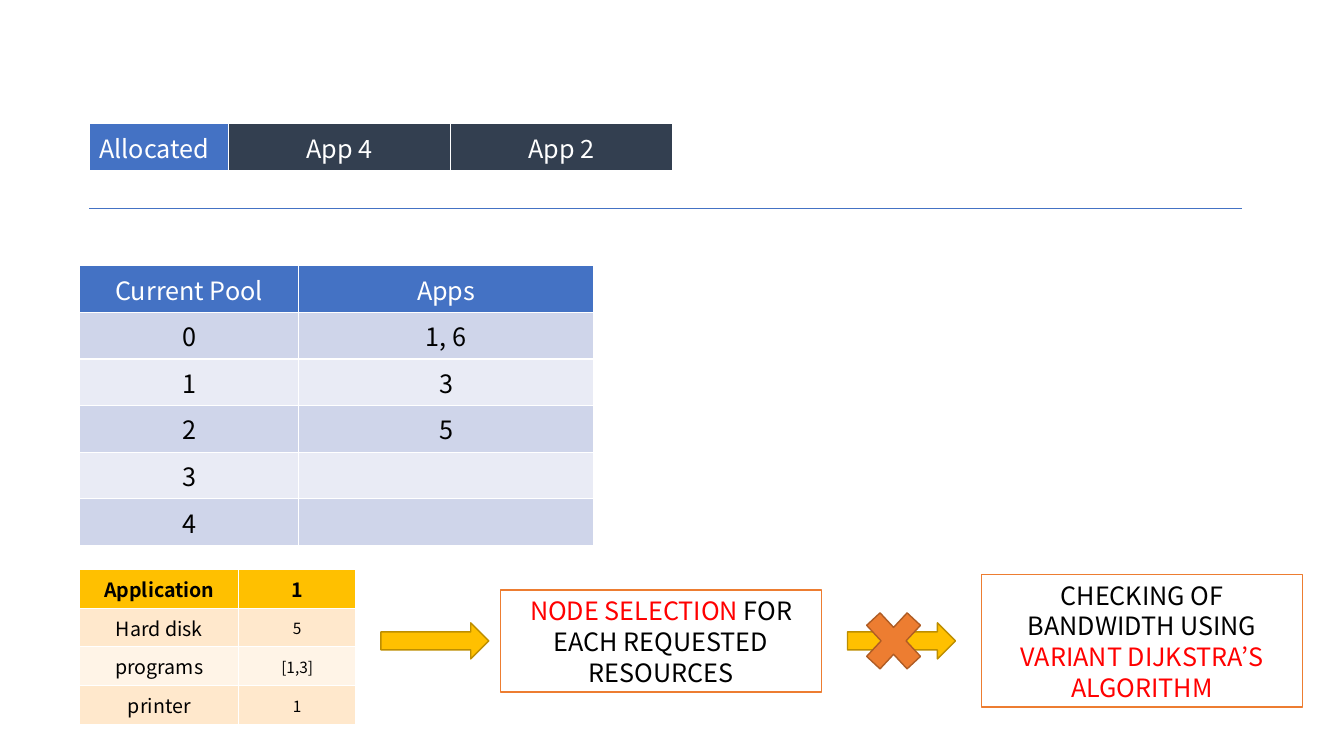
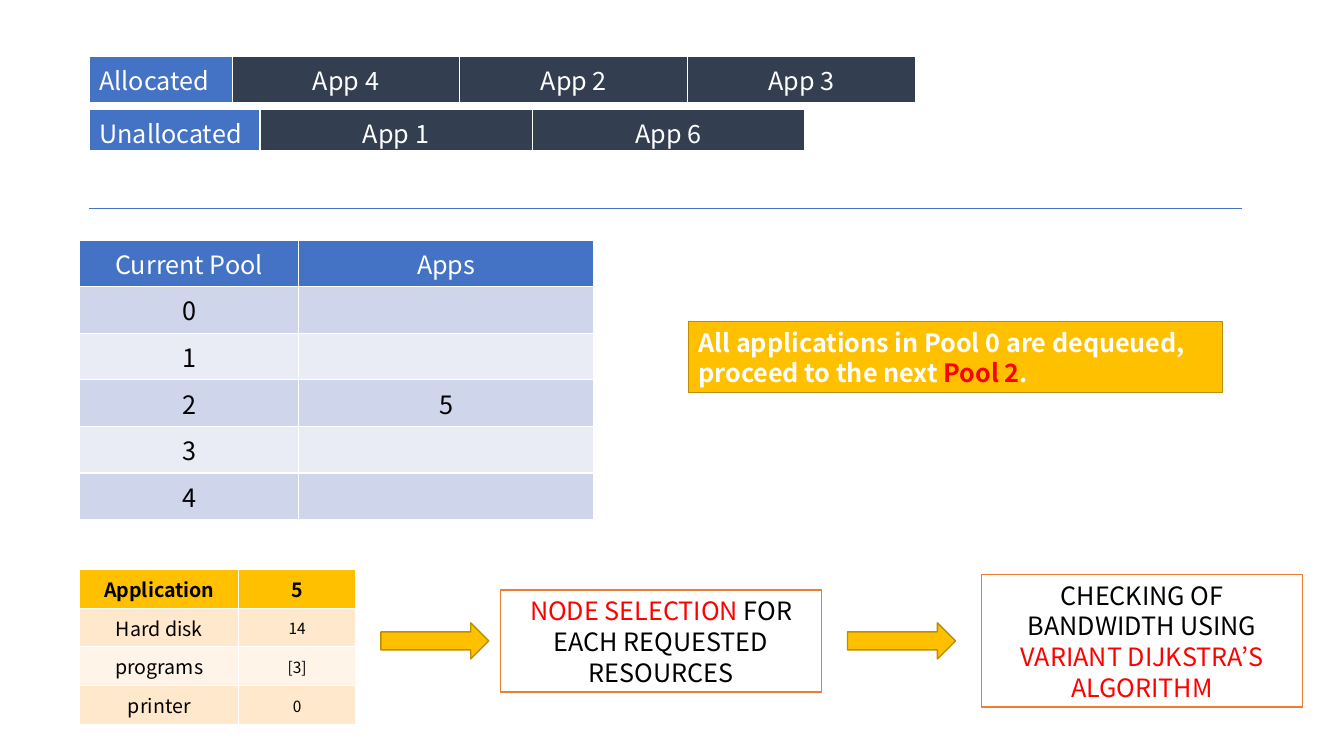
from pptx import Presentation
from pptx.dml.color import RGBColor
from pptx.enum.shapes import MSO_CONNECTOR, MSO_SHAPE
from pptx.enum.text import MSO_ANCHOR, PP_ALIGN
from pptx.oxml.ns import qn
from pptx.util import Cm, Pt
from lxml import etree

FONT = "Noto Sans CJK JP"
WHITE = RGBColor(0xFF, 0xFF, 0xFF)
BLACK = RGBColor(0x00, 0x00, 0x00)
RED = RGBColor(0xFF, 0x00, 0x00)
BLUE = RGBColor(0x44, 0x72, 0xC4)
NAVY = RGBColor(0x33, 0x3F, 0x50)
GOLD = RGBColor(0xFF, 0xC0, 0x00)
DARK_GOLD = RGBColor(0xBD, 0x8E, 0x00)
ORANGE = RGBColor(0xED, 0x7D, 0x31)
DARK_ORANGE = RGBColor(0xAF, 0x5C, 0x24)
BLUE_BANDS = (RGBColor(0xCF, 0xD5, 0xEA), RGBColor(0xE9, 0xEB, 0xF5))
GOLD_BANDS = (RGBColor(0xFF, 0xE8, 0xCC), RGBColor(0xFF, 0xF4, 0xE7))

RECTANGLE = MSO_SHAPE.RECTANGLE
RIGHT_ARROW = MSO_SHAPE.RIGHT_ARROW
CROSS = MSO_SHAPE.MATH_MULTIPLY
STRAIGHT = MSO_CONNECTOR.STRAIGHT
LEFT, CENTER = PP_ALIGN.LEFT, PP_ALIGN.CENTER
MIDDLE = MSO_ANCHOR.MIDDLE

TABLE_LEFT = 2.01
QUEUE_LEFT = 2.25
FLOW_MIDDLE = 16.15
ARROW_LEFTS = (9.6, 21.36)


class SlideWriter:
    def __init__(self, deck):
        self.deck = deck
        self.slide = None

    def new_slide(self):
        self.slide = self.deck.slides.add_slide(self.deck.slide_layouts[6])

    def format_font(self, font, color, size=18, bold=False):
        font.name = FONT
        font.size = Pt(size)
        font.bold = bold
        font.color.rgb = color

    def table(self, left, top, widths, row_height, row_count):
        frame = self.slide.shapes.add_table(
            row_count, len(widths), Cm(left), Cm(top),
            Cm(sum(widths)), Cm(row_height * row_count))
        for column, width in zip(frame.table.columns, widths):
            column.width = Cm(width)
        return frame.table

    def cell(self, cell, text, fill, color, size=18, bold=False, align=CENTER):
        cell.fill.solid()
        cell.fill.fore_color.rgb = fill
        cell.text_frame.text = text
        para = cell.text_frame.paragraphs[0]
        para.alignment = align
        for span in para.runs:
            self.format_font(span.font, color, size, bold)

    def queue(self, top, label, apps, label_width, app_width, row_height,
              bottom_margin=0.13):
        widths = [label_width] + [app_width] * len(apps)
        table = self.table(QUEUE_LEFT, top, widths, row_height, 1)
        for index, text in enumerate([label] + apps):
            cell = table.cell(0, index)
            fill, align = (NAVY, CENTER) if index else (BLUE, LEFT)
            self.cell(cell, text, fill, WHITE, align=align)
            cell.margin_bottom = Cm(bottom_margin)

    def pool_table(self, top, pools):
        rows = [("Current Pool", "Apps")]
        rows += [(str(number), apps) for number, apps in enumerate(pools)]
        table = self.table(TABLE_LEFT, top, (5.51, 7.45), 1.14, len(rows))
        for row, texts in enumerate(rows):
            fill = BLUE_BANDS[(row - 1) % 2] if row else BLUE
            for column, text in enumerate(texts):
                self.cell(table.cell(row, column), text, fill,
                          BLACK if row else WHITE)

    def application_table(self, application, resources):
        rows = [("Application", application)]
        rows += zip(("Hard disk", "programs", "printer"), resources)
        table = self.table(TABLE_LEFT, 14.35, (4.01, 2.94), 0.91, len(rows))
        for row, texts in enumerate(rows):
            fill = GOLD_BANDS[(row - 1) % 2] if row else GOLD
            for column, text in enumerate(texts):
                cell = table.cell(row, column)
                is_value = row > 0 and column > 0
                self.cell(cell, text, fill, BLACK, 11 if is_value else 14,
                          bold=row == 0)
                cell.vertical_anchor = MIDDLE
                if is_value:
                    cell.margin_left = cell.margin_right = Cm(0.02)
                    cell.margin_top, cell.margin_bottom = Cm(0.02), 0

    def shape(self, kind, left, middle, width, height, fill, line):
        """Add a preset shape centred vertically on middle."""
        shape = self.slide.shapes.add_shape(
            kind, Cm(left), Cm(middle - height / 2), Cm(width), Cm(height))
        shape.shadow.inherit = False
        shape.fill.solid()
        shape.fill.fore_color.rgb = fill
        shape.line.color.rgb = line
        shape.line.width = Pt(1)
        return shape

    def text_box(self, left, middle, width, height, fill, line, spans,
                 align=CENTER, bold=False):
        box = self.shape(RECTANGLE, left, middle, width, height, fill, line)
        box.text_frame.word_wrap = True
        box.text_frame.vertical_anchor = MIDDLE
        para = box.text_frame.paragraphs[0]
        para.alignment = align
        para.line_spacing = Pt(22)
        for text, color in spans:
            span = para.add_run()
            span.text = text
            self.format_font(span.font, color, bold=bold)

    def divider(self):
        line = self.slide.shapes.add_connector(
            STRAIGHT, Cm(2.25), Cm(5.26), Cm(31.29), Cm(5.26))
        line.line.color.rgb = BLUE
        line.line.width = Pt(0.5)
        etree.SubElement(line._element.spPr, qn("a:effectLst"))

    def flow(self):
        for left in ARROW_LEFTS:
            self.shape(RIGHT_ARROW, left, FLOW_MIDDLE, 2.72, 0.91,
                       GOLD, DARK_GOLD)
        self.text_box(12.62, FLOW_MIDDLE, 8.08, 2.57, WHITE, ORANGE, [
            ("NODE SELECTION ", RED),
            ("FOR EACH REQUESTED RESOURCES", BLACK)])
        self.text_box(24.74, FLOW_MIDDLE, 8.08, 3.33, WHITE, ORANGE, [
            ("CHECKING OF BANDWIDTH USING ", BLACK),
            ("VARIANT DIJKSTRA’S ALGORITHM", RED)])

    def rejection(self):
        self.shape(CROSS, 21.54, FLOW_MIDDLE, 1.96, 2.11, ORANGE, DARK_ORANGE)

    def note(self, spans):
        self.text_box(17.35, 9, 13.46, 1.8, GOLD, DARK_GOLD, spans,
                      align=LEFT, bold=True)


def main():
    deck = Presentation()
    deck.slide_width, deck.slide_height = Cm(33.87), Cm(19.05)
    writer = SlideWriter(deck)

    writer.new_slide()
    writer.queue(3.12, "Allocated", ["App 4", "App 2"], 3.5, 5.6, 0.81)
    writer.divider()
    writer.pool_table(6.7, ["1, 6", "3", "5", "", ""])
    writer.application_table("1", ("5", "[1,3]", "1"))
    writer.flow()
    writer.rejection()

    writer.new_slide()
    writer.queue(1.42, "Allocated", ["App 4", "App 2", "App 3"],
                 3.6, 5.74, 1.04)
    writer.queue(2.75, "Unallocated", ["App 1", "App 6"], 4.3, 6.86, 1,
                 bottom_margin=0)
    writer.divider()
    writer.pool_table(6.05, ["", "", "5", "", ""])
    writer.application_table("5", ("14", "[3]", "0"))
    writer.flow()
    writer.note([
        ("All applications in Pool 0 are dequeued, proceed to the next ", WHITE),
        ("Pool 2", RED),
        (".", WHITE)])

    deck.save("out.pptx")


if __name__ == "__main__":
    main()
